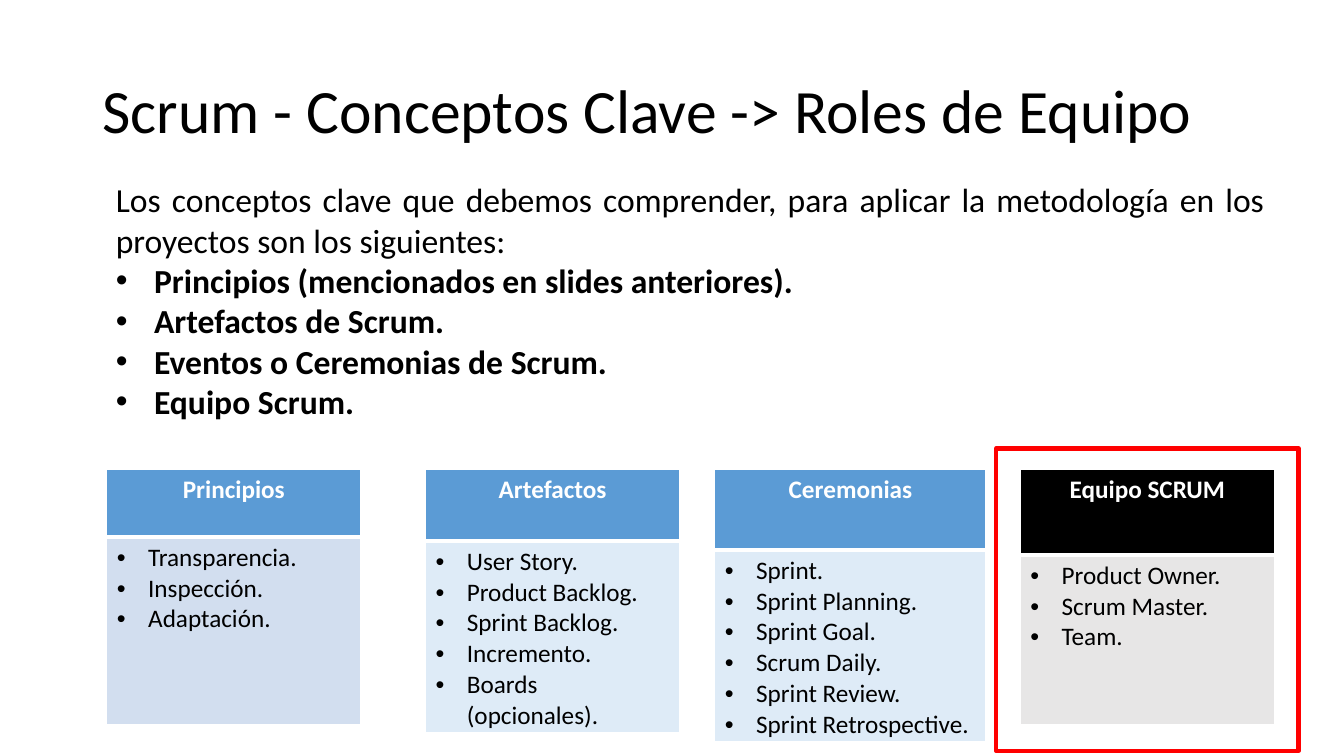
"""Build the slide on key Scrum concepts and team roles."""
from lxml import etree
from pptx import Presentation
from pptx.dml.color import RGBColor
from pptx.enum.shapes import MSO_SHAPE
from pptx.enum.text import MSO_ANCHOR, PP_ALIGN
from pptx.oxml.ns import qn
from pptx.util import Inches, Pt

LEFT, CENTER, JUSTIFY = PP_ALIGN.LEFT, PP_ALIGN.CENTER, PP_ALIGN.JUSTIFY
MIDDLE, RECT = MSO_ANCHOR.MIDDLE, MSO_SHAPE.RECTANGLE
THEME = {
    "font": "Calibri", "title": 44, "body": 24, "cell": 18,
    "black": "000000", "white": "FFFFFF", "blue": "5B9BD5", "mist": "D2DEEF",
    "pale": "DEEBF7", "gray": "E7E6E6", "red": "FF0000",
}

prs = Presentation()
prs.slide_width, prs.slide_height = Inches(13.33), Inches(7.5)
COL, ROW = prs.slide_width / 100, prs.slide_height / 100
s = prs.slides.add_slide(prs.slide_layouts[6])


def area(left, top, width, height):
    """Turn percentages of the slide into lengths."""
    return [round(n * unit) for n, unit in zip((left, top, width, height), (COL, ROW) * 2)]


def write(tf, lines, size, color="black", bold=False, align=LEFT, indent=0):
    """Add one paragraph per line, bulleted when an indent is given."""
    for line in lines:
        p = tf.paragraphs[0] if not tf.text else tf.add_paragraph()
        p.alignment = align
        if indent:
            pPr = p._p.get_or_add_pPr()
            pPr.set("marL", str(Inches(indent)))
            pPr.set("indent", str(-Inches(indent)))
            etree.SubElement(pPr, qn("a:buFont")).set("typeface", "Arial")
            etree.SubElement(pPr, qn("a:buChar")).set("char", "•")
        r = p.add_run()
        r.text = line
        for name, value in {"name": THEME["font"], "size": Pt(THEME[size]), "bold": bold}.items():
            setattr(r.font, name, value)
        r.font.color.rgb = RGBColor.from_string(THEME[color])


tf = s.shapes.add_textbox(*area(6.9, 5.33, 86.27, 19.33)).text_frame
tf.word_wrap, tf.vertical_anchor = True, MIDDLE
write(tf, ["Scrum - Conceptos Clave -> Roles de Equipo"], "title")
tf.paragraphs[0].line_spacing = 0.9

tf = s.shapes.add_textbox(*area(7.88, 23.07, 86.95, 39.07)).text_frame
tf.word_wrap = True
write(tf, ["Los conceptos clave que debemos comprender, para aplicar la metodología "
           "en los proyectos son los siguientes:"], "body", align=JUSTIFY)
write(tf, ["Principios (mencionados en slides anteriores).", "Artefactos de Scrum.",
           "Eventos o Ceremonias de Scrum.", "Equipo Scrum."],
      "body", bold=True, align=JUSTIFY, indent=0.38)

TOP, HEIGHT = 62.13, 33.73
CONCEPTS = [
    ("Principios", 7.95, 18.9, 8.93, "blue", "mist",
     ["Transparencia.", "Inspección.", "Adaptación."]),
    ("Artefactos", 31.66, 18.9, 9.47, "blue", "pale",
     ["User Story.", "Product Backlog.", "Sprint Backlog.", "Incremento.",
      "Boards (opcionales)."]),
    ("Ceremonias", 53.19, 20.18, 10.67, "blue", "pale",
     ["Sprint.", "Sprint Planning.", "Sprint Goal.", "Scrum Daily.",
      "Sprint Review.", "Sprint Retrospective."]),
    ("Equipo SCRUM", 75.92, 18.9, 11.33, "black", "gray",
     ["Product Owner.", "Scrum Master.", "Team."]),
]
for heading, left, width, head_height, head_fill, body_fill, items in CONCEPTS:
    table = s.shapes.add_table(2, 1, *area(left, TOP, width, HEIGHT)).table
    head, body = table.cell(0, 0), table.cell(1, 0)
    table.rows[0].height = round(head_height * ROW)
    table.rows[1].height = round((HEIGHT - head_height) * ROW)
    write(head.text_frame, [heading], "cell", "white", True, CENTER)
    write(body.text_frame, items, "cell", indent=0.31)
    for cell, fill, edges in ((head, head_fill, {"L": 1, "R": 1, "T": 1, "B": 3}),
                              (body, body_fill, {"L": 1, "R": 1, "T": 3, "B": 1})):
        tcPr = cell._tc.get_or_add_tcPr()
        for side, weight in edges.items():
            ln = etree.SubElement(tcPr, qn(f"a:ln{side}"), w=str(Pt(weight)))
            solid = etree.SubElement(ln, qn("a:solidFill"))
            etree.SubElement(solid, qn("a:srgbClr"), val=THEME["white"])
        cell.fill.solid()
        cell.fill.fore_color.rgb = RGBColor.from_string(THEME[fill])

sp = s.shapes.add_shape(RECT, *area(74.12, 59.33, 22.51, 40))
sp.shadow.inherit = False
sp.fill.background()
sp.line.color.rgb = RGBColor.from_string(THEME["red"])
sp.line.width = Pt(3.25)

prs.save("out.pptx")
